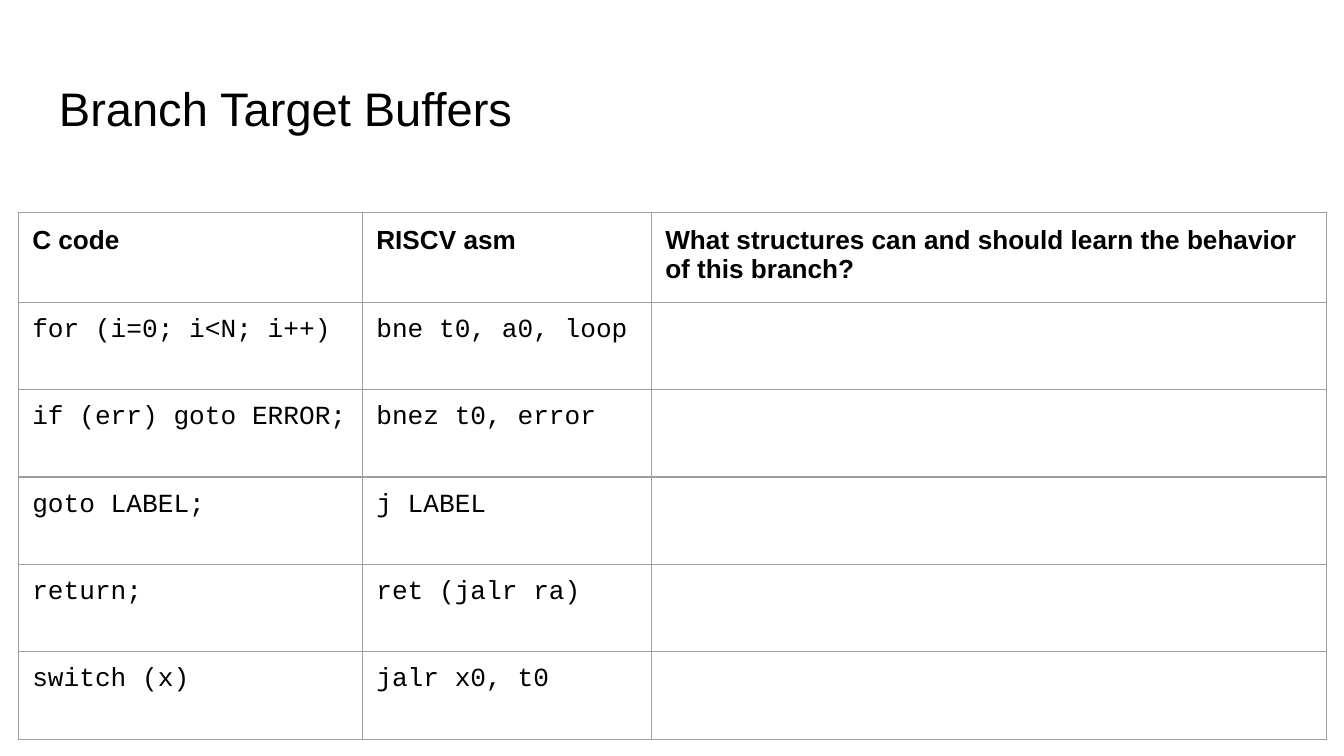
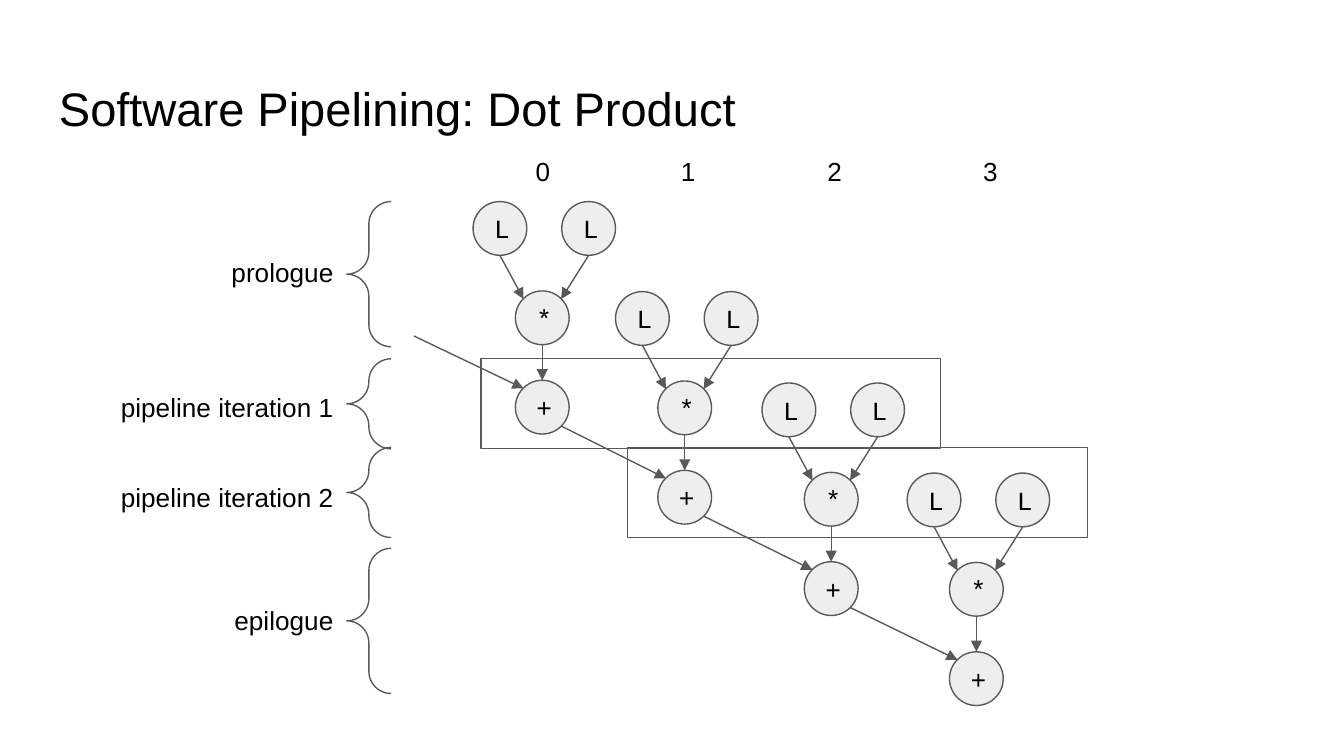
from lxml import etree
from pptx import Presentation
from pptx import util as u
from pptx.dml.color import RGBColor
from pptx.enum import shapes, text
from pptx.oxml import ns

INK, GREY, PALE, GRID = "000000", "595959", "EEEEEE", "9E9E9E"
SANS, MONO = "Arial", "Courier New"
LEFT, CENTER, RIGHT = text.PP_ALIGN.LEFT, text.PP_ALIGN.CENTER, text.PP_ALIGN.RIGHT
TOP, MIDDLE = text.MSO_ANCHOR.TOP, text.MSO_ANCHOR.MIDDLE


def color(value):
    return RGBColor.from_string(value)


def inches(*lengths):
    return [u.Inches(length) for length in lengths]


def write(frame, content, size=14, font=SANS, bold=False, align=LEFT):
    paragraph = frame.paragraphs[0]
    paragraph.alignment = align
    run = paragraph.add_run()
    run.text = content
    run.font.size = u.Pt(size)
    run.font.name = font
    run.font.bold = bold
    run.font.color.rgb = color(INK)


def set_margins(box):
    box.margin_left = box.margin_right = u.Inches(0.1)
    box.margin_top = box.margin_bottom = u.Inches(0.1)


class Deck:
    """Holds the shared style and the slide being filled."""

    def __init__(self):
        self.presentation = Presentation()
        self.presentation.slide_width = u.Inches(10)
        self.presentation.slide_height = u.Inches(5.625)
        self.slide = None

    def new_slide(self, title):
        self.slide = self.presentation.slides.add_slide(self.presentation.slide_layouts[6])
        self.label(title, 0.34, 0.49, 9.32, 0.63, anchor=MIDDLE, size=25.2)

    def label(self, content, left, top, width, height=0.44, anchor=TOP, **style):
        box = self.slide.shapes.add_textbox(*inches(left, top, width, height))
        frame = box.text_frame
        frame.word_wrap = True
        frame.vertical_anchor = anchor
        set_margins(frame)
        write(frame, content, **style)

    def outline(self, kind, left, top, width, height, fill=None):
        shape = self.slide.shapes.add_shape(kind, *inches(left, top, width, height))
        shape.shadow.inherit = False
        if fill:
            shape.fill.solid()
            shape.fill.fore_color.rgb = color(fill)
        else:
            shape.fill.background()
        shape.line.color.rgb = color(GREY)
        shape.line.width = u.Pt(0.75)
        return shape

    def node(self, content, left, top):
        shape = self.outline(shapes.MSO_SHAPE.OVAL, left, top, 0.4, 0.4, fill=PALE)
        frame = shape.text_frame
        frame.word_wrap = True
        frame.vertical_anchor = MIDDLE
        set_margins(frame)
        write(frame, content, font=MONO)

    def brace(self, left, top, width, height):
        shape = self.outline(shapes.MSO_SHAPE.LEFT_BRACE, left, top, width, height)
        shape.adjustments[0] = shape.adjustments[1] = 0.5

    def arrow(self, start, end):
        connector = self.slide.shapes.add_connector(
            shapes.MSO_CONNECTOR.STRAIGHT, *inches(*start, *end))
        connector.line.color.rgb = color(GREY)
        connector.line.width = u.Pt(0.75)
        line = connector.line._get_or_add_ln()
        etree.SubElement(line, ns.qn("a:tailEnd"), type="triangle")
        etree.SubElement(connector._element.spPr, ns.qn("a:effectLst"))

    def table(self, left, top, widths, heights, rows):
        frame = self.slide.shapes.add_table(
            len(heights), len(widths), *inches(left, top, sum(widths), sum(heights)))
        table = frame.table
        table.first_row = table.horz_banding = False
        for column, width in zip(table.columns, widths):
            column.width = u.Inches(width)
        for row, height in zip(table.rows, heights):
            row.height = u.Inches(height)
        for i, row in enumerate(rows):
            style = {"font": MONO} if i else {"bold": True}
            for j, content in enumerate(row):
                cell = table.cell(i, j)
                set_margins(cell)
                cell.fill.background()
                self.borders(cell)
                if content:
                    write(cell.text_frame, content, **style)

    def borders(self, cell):
        properties = cell._tc.get_or_add_tcPr()
        for index, side in enumerate(("lnL", "lnR", "lnT", "lnB")):
            line = etree.Element(ns.qn("a:" + side), w=str(u.Pt(0.75)))
            fill = etree.SubElement(line, ns.qn("a:solidFill"))
            etree.SubElement(fill, ns.qn("a:srgbClr"), val=GRID)
            properties.insert(index, line)


def build_branches(deck):
    deck.new_slide("Branch Target Buffers")
    deck.table(0.14, 1.58, [2.56, 2.15, 5.02], [0.67] + [0.65] * 5, [
        ("C code", "RISCV asm",
         "What structures can and should learn the behavior of this branch?"),
        ("for (i=0; i<N; i++)", "bne t0, a0, loop", ""),
        ("if (err) goto ERROR;", "bnez t0, error", ""),
        ("goto LABEL;", "j LABEL", ""),
        ("return;", "ret (jalr ra)", ""),
        ("switch (x)", "jalr x0, t0", ""),
    ])


def build_pipeline(deck):
    deck.new_slide("Software Pipelining: Dot Product")
    near, mid, far = 0.06, 0.2, 0.34  # points on a node's edge

    # One tree of loads, multiply and add for each iteration
    carry = (3.08, 2.5)
    carries = []
    for left, top in [(3.52, 1.5), (4.58, 2.17), (5.67, 2.85), (6.75, 3.52)]:
        center, second = left + 0.315, left + 0.66
        multiply, add = top + 0.665, top + 1.33
        deck.node("*", center, multiply)
        deck.node("+", center, add)
        deck.node("L", left, top)
        deck.node("L", second, top)
        deck.arrow((second + mid, top + 0.4), (center + far, multiply + near))
        deck.arrow((left + mid, top + 0.4), (center + near, multiply + near))
        deck.arrow((center + mid, multiply + 0.4), (center + mid, add))
        carries.append((carry, (center + near, add + near)))
        carry = (center + far, add + far)

    # Running sum and the two steady iterations
    for start, end in carries:
        deck.arrow(start, end)
    for left, top in [(3.58, 2.67), (4.67, 3.33)]:
        deck.outline(shapes.MSO_SHAPE.RECTANGLE, left, top, 3.42, 0.67)

    # Stages on the left: name, brace top, brace height, label top
    for name, top, height, label_top in [
        ("prologue", 1.5, 1.08, 1.81),
        ("pipeline iteration 1", 2.67, 0.67, 2.81),
        ("pipeline iteration 2", 3.33, 0.67, 3.48),
        ("epilogue", 4.08, 1.08, 4.4),
    ]:
        deck.brace(2.58, top, 0.33, height)
        width = 2.08 if "iteration" in name else 1.33
        deck.label(name, 2.58 - width, label_top, width, align=RIGHT)

    # Iteration numbers
    for number, left in enumerate([3.5, 4.58, 5.67, 6.83]):
        deck.label(str(number), left, 1.06, 1.08, align=CENTER)


def main():
    deck = Deck()
    build_branches(deck)
    build_pipeline(deck)
    deck.presentation.save("out.pptx")


if __name__ == "__main__":
    main()
